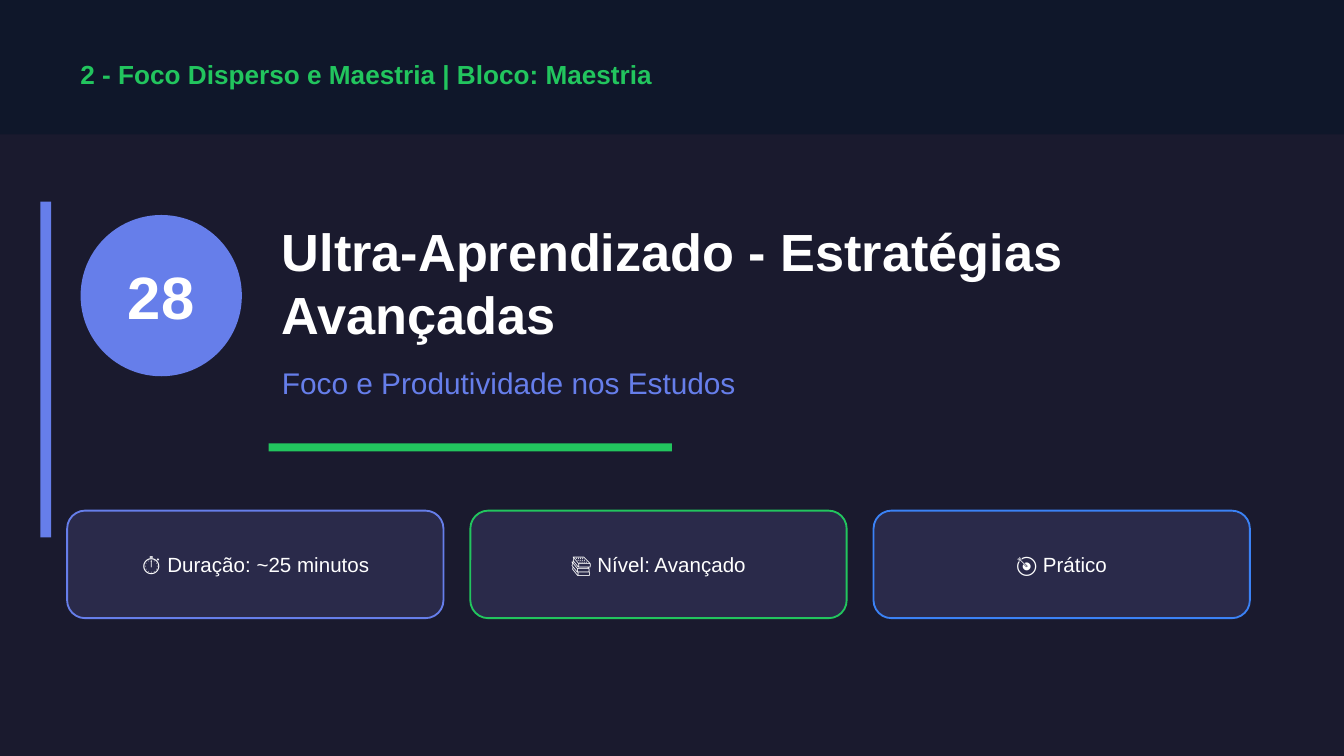
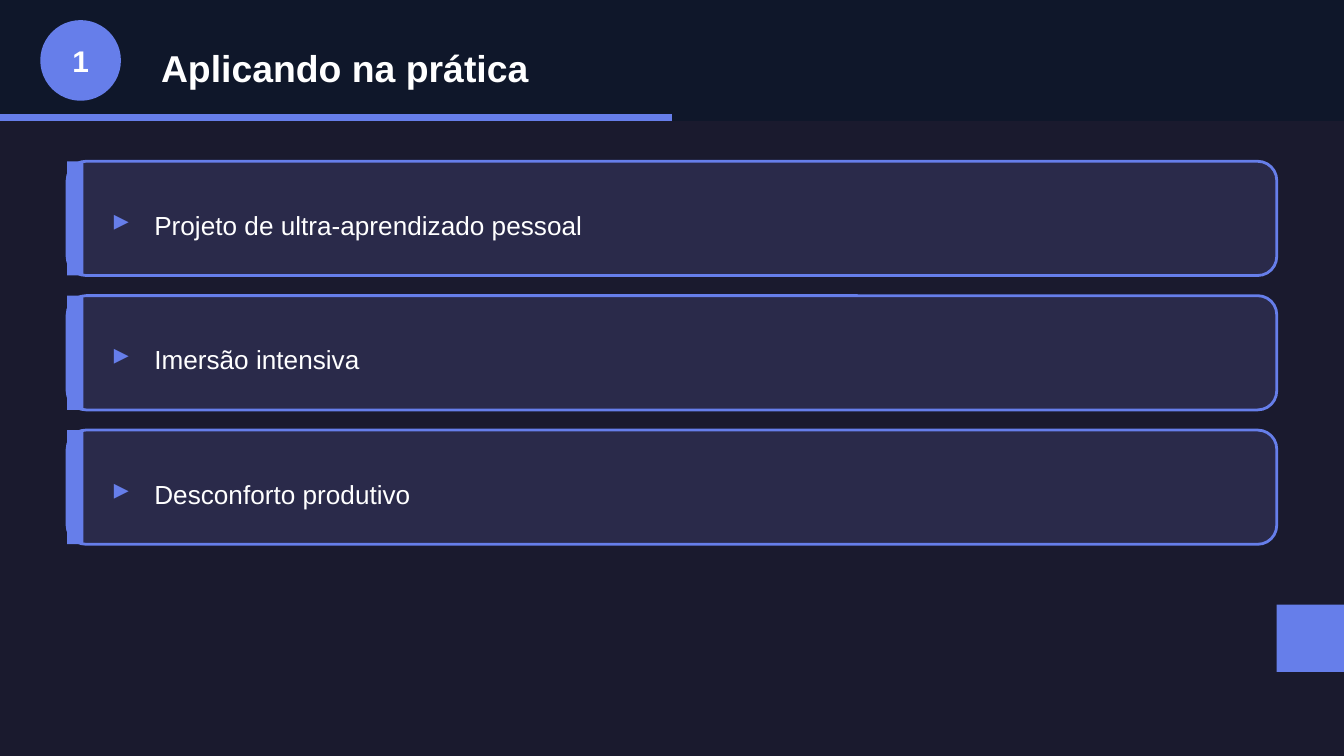
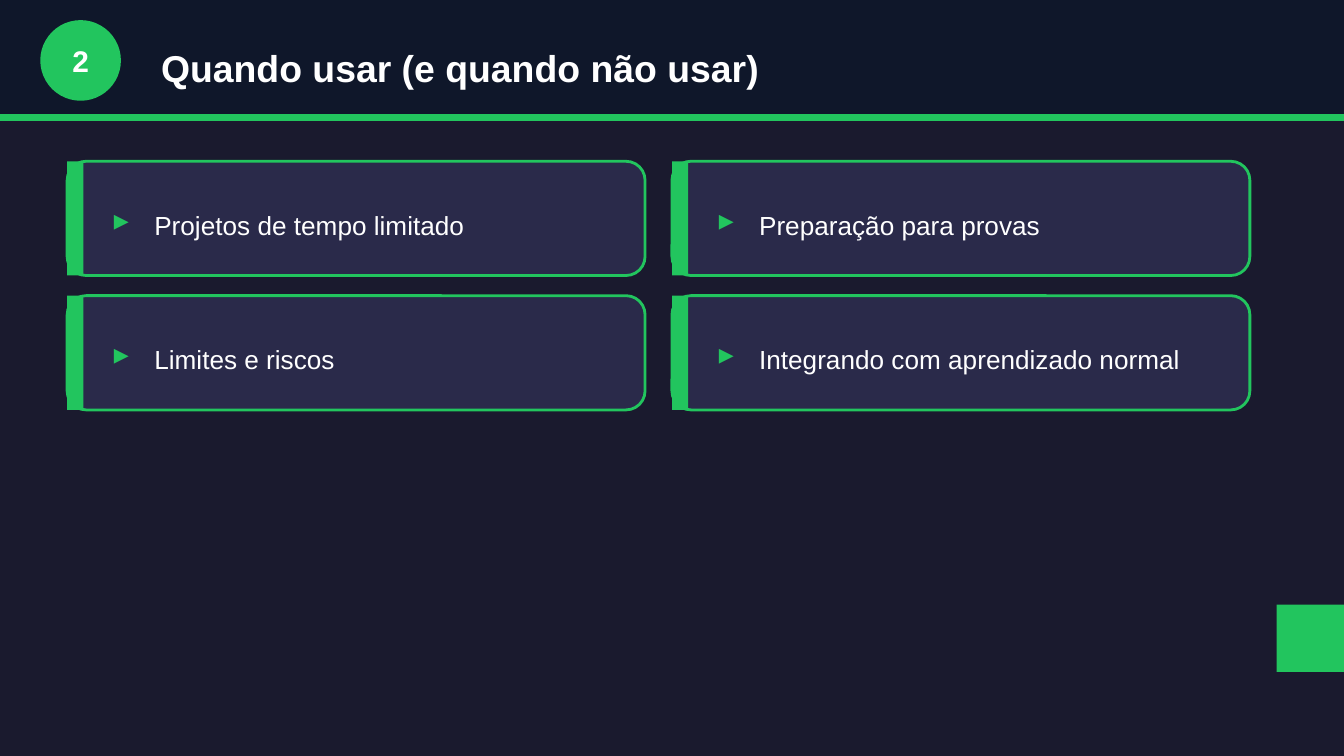
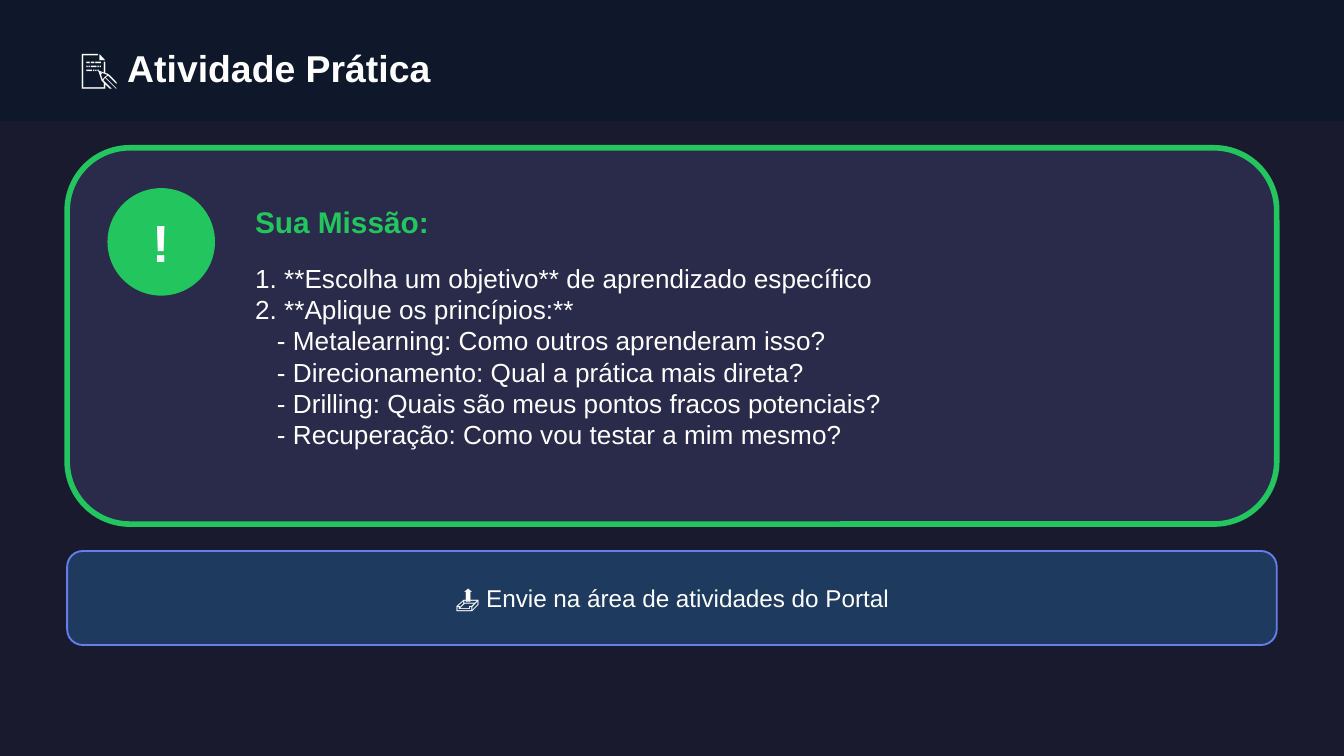
from pptx import Presentation
from pptx.dml.color import RGBColor
from pptx.enum.shapes import MSO_SHAPE as Shape
from pptx.enum.text import MSO_ANCHOR as Anchor, PP_ALIGN as Align
from pptx.util import Pt

NIGHT = RGBColor(0x1A, 0x1A, 0x2E)
BAND = RGBColor(0x0F, 0x17, 0x2A)
CARD = RGBColor(0x2A, 0x2A, 0x4A)
NAVY = RGBColor(0x1E, 0x3A, 0x5F)
INDIGO = RGBColor(0x66, 0x7E, 0xEA)
GREEN = RGBColor(0x22, 0xC5, 0x5E)
BLUE = RGBColor(0x3B, 0x82, 0xF6)
WHITE = RGBColor(0xFF, 0xFF, 0xFF)

FONT = "Arial"
WIDTH, HEIGHT = 720, 405
MARGIN = 36
CARD_TOP, CARD_HEIGHT, ROW_STEP = 86.4, 61.2, 72
SUB_ITEM_INDENT = 11.7


class Lesson:
    """Holds the deck, its style and the slide being filled; lengths are points."""

    def __init__(self):
        self.deck = Presentation()
        self.deck.slide_width, self.deck.slide_height = Pt(WIDTH), Pt(HEIGHT)
        self.page = None

    def add_page(self, band_height=64.8):
        self.page = self.deck.slides.add_slide(self.deck.slide_layouts[6])
        fill = self.page.background.fill
        fill.solid()
        fill.fore_color.rgb = NIGHT
        self.shape(0, 0, WIDTH, band_height, BAND)

    def shape(self, left, top, width, height, color,
              kind=Shape.RECTANGLE, line=None, line_width=1):
        shape = self.page.shapes.add_shape(
            kind, Pt(left), Pt(top), Pt(width), Pt(height))
        shape.shadow.inherit = False
        shape.fill.solid()
        shape.fill.fore_color.rgb = color
        if line is None:
            shape.line.fill.background()
        else:
            shape.line.color.rgb = line
            shape.line.width = Pt(line_width)

    def card(self, left, top, width, height, line, line_width=1, color=CARD):
        self.shape(left, top, width, height, color,
                   Shape.ROUNDED_RECTANGLE, line, line_width)

    def text(self, left, top, width, height, lines, size, color=WHITE,
             bold=False, align=Align.LEFT, anchor=Anchor.MIDDLE):
        """Write one string, or a list of strings as paragraphs; "- " lines are indented."""
        box = self.page.shapes.add_textbox(Pt(left), Pt(top), Pt(width), Pt(height))
        frame = box.text_frame
        frame.word_wrap = True
        frame.vertical_anchor = anchor
        lines = [lines] if isinstance(lines, str) else lines
        frame.text = "\n".join(lines)
        for para in frame.paragraphs:
            para.alignment = align
            font = para.font
            font.name, font.size, font.bold = FONT, Pt(size), bold
            font.color.rgb = color
            if para.text.startswith("- "):
                para._p.get_or_add_pPr().set("marL", str(Pt(SUB_ITEM_INDENT)))

    def badge(self, left, top, diameter, label, size, color, inset):
        """Draw a disc with its label; inset is the label's distance from top and bottom."""
        self.shape(left, top, diameter, diameter, color, Shape.OVAL)
        self.text(left, top + inset, diameter, diameter - 2 * inset, label, size,
                  bold=True, align=Align.CENTER)

    def title(self, left, width, wording):
        self.text(left, 18, width, 36, wording, 20, bold=True)

    def topic_card(self, left, top, width, wording, color):
        self.card(left, top, width, CARD_HEIGHT, color, 1.5)
        self.shape(left, top, 8.64, CARD_HEIGHT, color)
        self.text(left + 18, top + 18, 21.6, 25.2, "▸", 16, color, bold=True)
        self.text(left + 39.6, top + 18, width - 57.6, 32.4, wording, 14)

    def topic_page(self, number, title, topics, color, progress, columns, card_width):
        """Build a numbered page with its progress bar and a grid of topic cards."""
        self.add_page()
        self.shape(0, 61.2, WIDTH * progress, 3.6, color)
        self.badge(21.6, 10.8, 43.2, str(number), 16, color, 7.2)
        self.title(79.2, 612, title)
        column_step = card_width + 14.4
        for index, topic in enumerate(topics):
            row, column = divmod(index, columns)
            self.topic_card(MARGIN + column * column_step, CARD_TOP + row * ROW_STEP,
                            card_width, topic, color)
        self.shape(WIDTH - 36, 324, 36, 36, color)


def build_cover(lesson):
    lesson.add_page(band_height=72)
    lesson.text(MARGIN, 25.2, 648, 28.8,
                "2 - Foco Disperso e Maestria | Bloco: Maestria", 14, GREEN, bold=True)
    lesson.shape(21.6, 108, 5.76, 180, INDIGO)
    lesson.badge(43.2, 115.2, 86.4, "28", 32, INDIGO, 18)
    lesson.text(144, 115.2, 540, 72,
                "Ultra-Aprendizado - Estratégias Avançadas", 28, bold=True)
    lesson.text(144, 187.2, 540, 36, "Foco e Produtividade nos Estudos", 16, INDIGO)
    lesson.shape(144, 237.6, 216, 4.32, GREEN)
    facts = [("⏱ Duração: ~25 minutos", INDIGO),
             ("📚 Nível: Avançado", GREEN),
             ("🎯 Prático", BLUE)]
    for index, (fact, color) in enumerate(facts):
        left = MARGIN + index * 216
        lesson.card(left, 273.6, 201.6, 57.6, color)
        lesson.text(left, 284.4, 201.6, 36, fact, 11, align=Align.CENTER)


def build_activity(lesson):
    lesson.add_page()
    lesson.title(MARGIN, 648, "📝 Atividade Prática")
    lesson.card(MARGIN, 79.2, 648, 201.6, GREEN, 3)
    lesson.badge(57.6, 100.8, 57.6, "!", 28, GREEN, 7.2)
    lesson.text(129.6, 100.8, 540, 36, "Sua Missão:", 16, GREEN, bold=True)
    steps = ["1. **Escolha um objetivo** de aprendizado específico",
             "2. **Aplique os princípios:**",
             "- Metalearning: Como outros aprenderam isso?",
             "- Direcionamento: Qual a prática mais direta?",
             "- Drilling: Quais são meus pontos fracos potenciais?",
             "- Recuperação: Como vou testar a mim mesmo?"]
    lesson.text(129.6, 136.8, 532.8, 129.6, steps, 14, anchor=Anchor.TOP)
    lesson.card(MARGIN, 295.2, 648, 50.4, INDIGO, color=NAVY)
    lesson.text(MARGIN, 306, 648, 28.8, "📤 Envie na área de atividades do Portal", 13,
                align=Align.CENTER)


def main():
    lesson = Lesson()
    build_cover(lesson)
    lesson.topic_page(
        1, "Aplicando na prática",
        ["Projeto de ultra-aprendizado pessoal", "Imersão intensiva",
         "Desconforto produtivo"],
        INDIGO, progress=0.5, columns=1, card_width=648)
    lesson.topic_page(
        2, "Quando usar (e quando não usar)",
        ["Projetos de tempo limitado", "Preparação para provas",
         "Limites e riscos", "Integrando com aprendizado normal"],
        GREEN, progress=1, columns=2, card_width=309.6)
    build_activity(lesson)
    lesson.deck.save("out.pptx")


if __name__ == "__main__":
    main()
